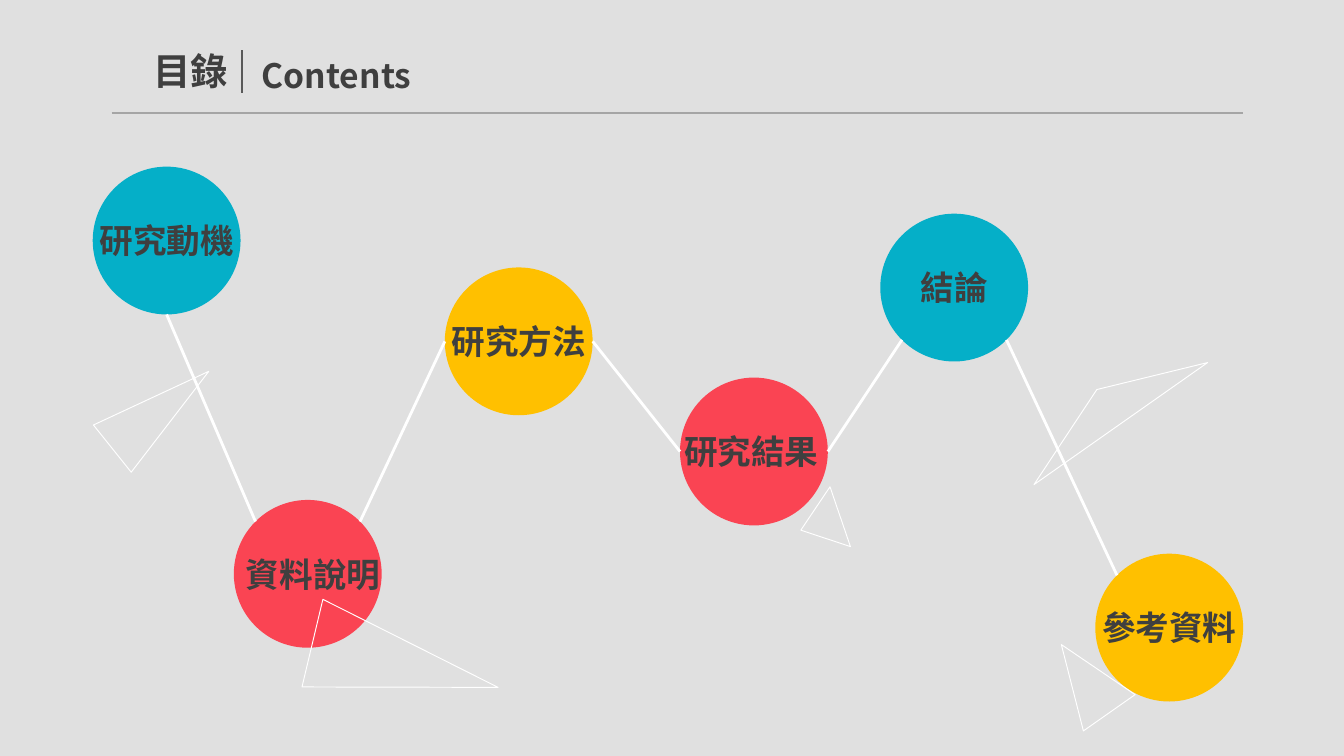
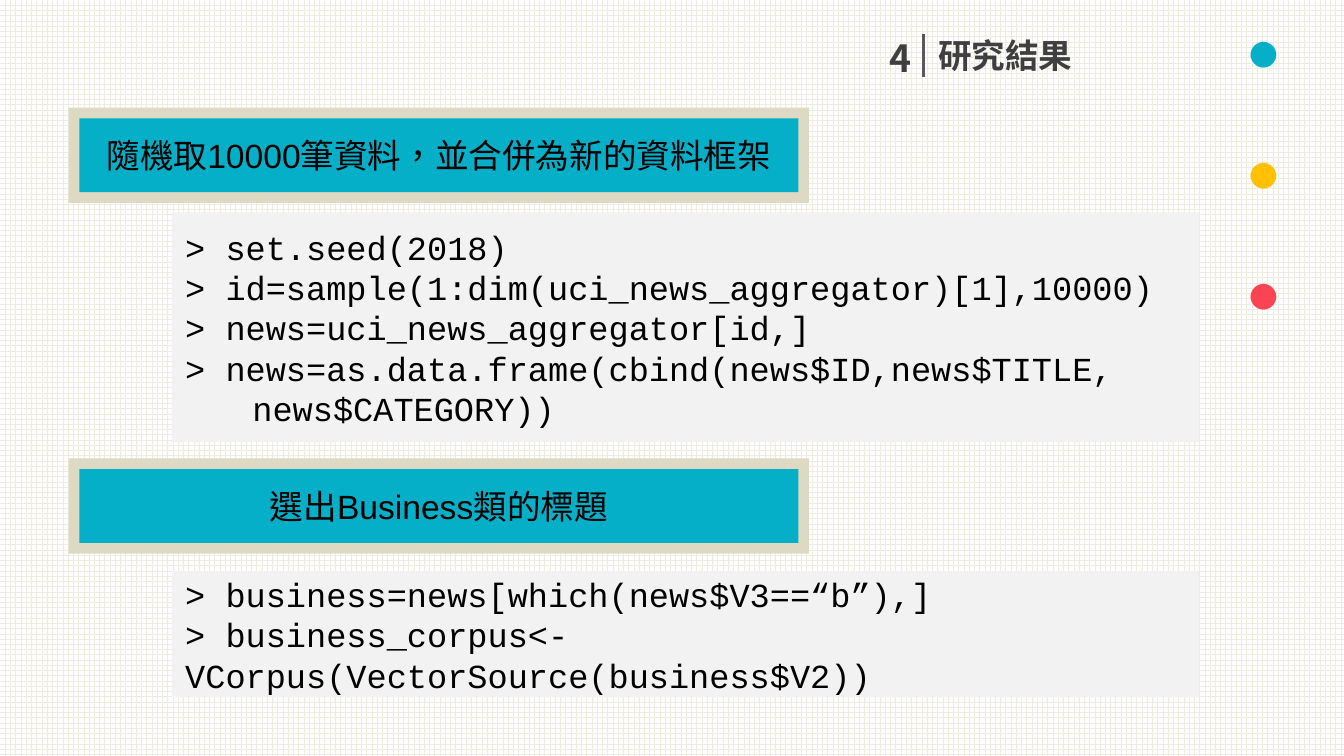
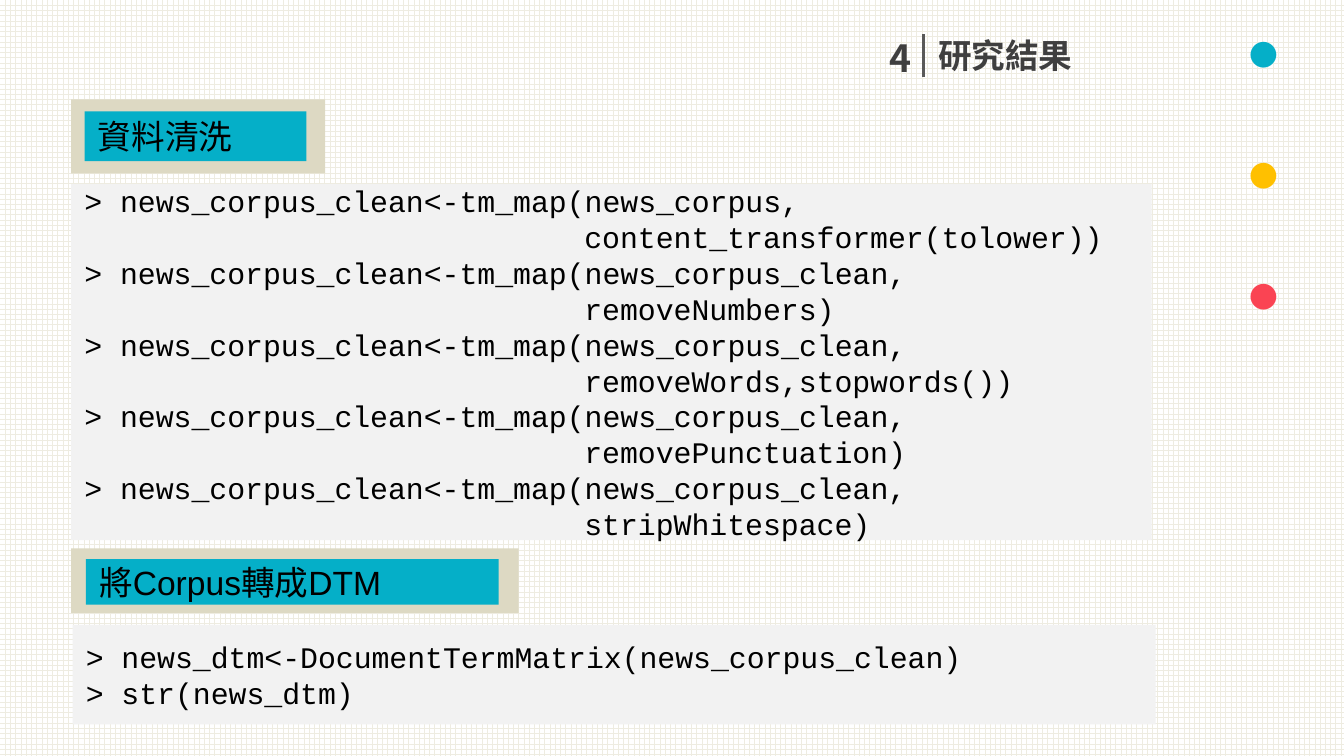
from dataclasses import dataclass
from math import sqrt

from lxml import etree
from pptx import Presentation
from pptx.dml.color import RGBColor
from pptx.enum.dml import MSO_PATTERN_TYPE
from pptx.enum.lang import MSO_LANGUAGE_ID
from pptx.enum.shapes import MSO_CONNECTOR, MSO_SHAPE
from pptx.enum.text import MSO_ANCHOR, MSO_AUTO_SIZE, PP_ALIGN
from pptx.oxml.ns import qn
from pptx.util import Inches, Pt

LEFT, CENTER, RIGHT = PP_ALIGN.LEFT, PP_ALIGN.CENTER, PP_ALIGN.RIGHT
TOP, MIDDLE = MSO_ANCHOR.TOP, MSO_ANCHOR.MIDDLE
GROW = MSO_AUTO_SIZE.SHAPE_TO_FIT_TEXT
STRAIGHT = MSO_CONNECTOR.STRAIGHT
RECTANGLE = MSO_SHAPE.RECTANGLE
CIRCLE = MSO_SHAPE.FLOWCHART_CONNECTOR
TRIANGLE = MSO_SHAPE.FLOWCHART_MERGE
GRID = MSO_PATTERN_TYPE.LARGE_GRID
CHINESE = MSO_LANGUAGE_ID.TRADITIONAL_CHINESE
TITLE_ONLY = 5


@dataclass(frozen=True)
class Theme:
    teal: str = "05AFC8"
    amber: str = "FFC000"
    red: str = "FA4453"
    ink: str = "3F3F3F"
    black: str = "000000"
    white: str = "FFFFFF"
    divider: str = "595959"
    rule: str = "A5A5A5"
    paper: str = "E0E0E0"
    grid: str = "EEECE1"
    frame: str = "DDD9C3"
    code_fill: str = "F2F2F2"
    heading_font: str = "Noto Sans CJK SC"
    body_font: str = "Arial"
    code_font: str = "Courier New"
    lead_size: int = 20
    body_size: int = 18
    small_code_size: int = 16
    dot_size: int = 54


THEME = Theme()


class Deck:
    """Holds the style and the slide being built."""

    def __init__(self, theme):
        self.theme = theme
        self.presentation = Presentation()
        self.presentation.slide_width = Inches(10)
        self.presentation.slide_height = Inches(10 * 9 / 16)
        self.slide = None

    def new_slide(self, gridded):
        layout = self.presentation.slide_layouts[TITLE_ONLY]
        self.slide = self.presentation.slides.add_slide(layout)
        fill = self.slide.background.fill
        if gridded:
            fill.patterned()
            fill.pattern = GRID
            fill.fore_color.rgb = RGBColor.from_string(self.theme.grid)
            fill.back_color.rgb = RGBColor.from_string(self.theme.white)
        else:
            fill.solid()
            fill.fore_color.rgb = RGBColor.from_string(self.theme.paper)

    def format_run(self, run, font, size, color, bold=False):
        run.font.name = font
        run.font.size = Pt(size)
        run.font.bold = bold
        run.font.color.rgb = RGBColor.from_string(color)
        if font == self.theme.heading_font:
            east_asian = etree.SubElement(run.font._element, qn("a:ea"))
            east_asian.set("typeface", font)
        elif font == self.theme.body_font:
            run.font.language_id = CHINESE

    def fill_heading(self, holder, text, size, align):
        frame = holder.text_frame
        frame.text = text
        frame.word_wrap = True
        frame.auto_size = GROW
        frame.vertical_anchor = TOP
        paragraph = frame.paragraphs[0]
        paragraph.alignment = align
        self.format_run(paragraph.runs[0], self.theme.heading_font, size, self.theme.ink, True)

    def title(self, box, text, size, align=LEFT):
        holder = self.slide.shapes.title
        holder.left, holder.top, holder.width, holder.height = map(Inches, box)
        self.fill_heading(holder, text, size, align)

    def label(self, box, text, size, align=LEFT):
        holder = self.slide.shapes.add_textbox(*map(Inches, box))
        self.fill_heading(holder, text, size, align)

    def line(self, start, end, color, width):
        connector = self.slide.shapes.add_connector(STRAIGHT, *map(Inches, (*start, *end)))
        connector.line.color.rgb = RGBColor.from_string(color)
        connector.line.width = Pt(width)
        etree.SubElement(connector._element.spPr, qn("a:effectLst"))

    def solid(self, kind, box, color):
        shape = self.slide.shapes.add_shape(kind, *map(Inches, box))
        shape.shadow.inherit = False
        shape.fill.solid()
        shape.fill.fore_color.rgb = RGBColor.from_string(color)
        shape.line.fill.background()
        return shape

    def triangle(self, box, rotation):
        shape = self.slide.shapes.add_shape(TRIANGLE, *map(Inches, box))
        shape.shadow.inherit = False
        shape.fill.background()
        shape.line.color.rgb = RGBColor.from_string(self.theme.white)
        shape.line.width = Pt(0.5)
        shape.rotation = rotation

    def plate(self, frame_box, face_box, text, align):
        self.solid(RECTANGLE, frame_box, self.theme.frame)
        face = self.solid(RECTANGLE, face_box, self.theme.teal)
        self.fill_body(face, text, self.theme.body_font, self.theme.body_size, align)

    def code(self, box, text, size, hang=0):
        panel = self.solid(RECTANGLE, box, self.theme.code_fill)
        self.fill_body(panel, text, self.theme.code_font, size, LEFT)
        for paragraph in panel.text_frame.paragraphs:
            if not paragraph.text.startswith(">"):
                paragraph._p.get_or_add_pPr().set("marL", str(Inches(hang)))

    def fill_body(self, shape, text, font, size, align):
        frame = shape.text_frame
        frame.text = text
        frame.word_wrap = True
        frame.vertical_anchor = MIDDLE
        for paragraph in frame.paragraphs:
            paragraph.alignment = align
            for run in paragraph.runs:
                self.format_run(run, font, size, self.theme.black)

    def section_header(self, number, text):
        self.line((6.87, 0.57), (6.87, 0.25), self.theme.divider, 1.5)
        self.label((6.02, 0.21, 0.86, 0.44), number, self.theme.lead_size, RIGHT)
        self.title((6.88, 0.21, 3.31, 0.4), text, self.theme.body_size)

    def side_dots(self):
        holder = self.slide.shapes.add_textbox(*map(Inches, (8.23, -0.1, 1.65, 1.01)))
        frame = holder.text_frame
        frame.word_wrap = True
        frame.auto_size = GROW
        paragraph = frame.paragraphs[0]
        paragraph.alignment = RIGHT
        colors = (self.theme.teal, self.theme.amber, self.theme.red)
        for dot, color in zip(("· ", "· ", "·"), colors):
            run = paragraph.add_run()
            run.text = dot
            self.format_run(run, self.theme.heading_font, self.theme.dot_size, color, True)


def build_contents(deck):
    theme = deck.theme
    diameter, label_width = 1.1, 1.81
    radius = diameter / 2
    diagonal = radius / sqrt(2)
    topics = [
        ("研究動機", 0.69, 1.24, theme.teal, 0),
        ("資料說明", 1.74, 3.72, theme.red, 0.04),
        ("研究方法", 3.31, 1.99, theme.amber, 0),
        ("研究結果", 5.06, 2.81, theme.red, -0.02),
        ("結論", 6.55, 1.59, theme.teal, 0),
        ("參考資料", 8.15, 4.12, theme.amber, 0),
    ]
    rim = {
        "bottom": (0, radius),
        "left": (-radius, 0),
        "right": (radius, 0),
        "upper left": (-diagonal, -diagonal),
        "upper right": (diagonal, -diagonal),
        "lower left": (-diagonal, diagonal),
        "lower right": (diagonal, diagonal),
    }
    links = [
        ("bottom", "upper left"),
        ("upper right", "left"),
        ("right", "left"),
        ("right", "lower left"),
        ("lower right", "upper left"),
    ]
    triangles = [
        ((2.68, 4.24, 0.67, 1.42), 283.4),
        ((7.46, 2.87, 1.58, 0.31), 144.9),
        ((5.87, 3.74, 0.47, 0.31), 71.1),
        ((7.84, 4.74, 0.47, 0.62), 144.9),
        ((0.97, 2.59, 0.45, 0.92), 231.3),
    ]

    def rim_point(topic, side):
        dx, dy = rim[side]
        return topic[1] + radius + dx, topic[2] + radius + dy

    deck.new_slide(gridded=False)
    deck.line((0.83, 0.84), (9.25, 0.84), theme.rule, 0.75)
    deck.line((1.8, 0.69), (1.8, 0.37), theme.divider, 1.5)
    deck.title((0.99, 0.31, 0.86, 0.44), "目錄", theme.lead_size, CENTER)
    deck.label((1.85, 0.36, 1.65, 0.4), "Contents", theme.body_size)
    for _, left, top, color, _ in topics:
        deck.solid(CIRCLE, (left, top, diameter, diameter), color)
    for start, end, (leaving, arriving) in zip(topics, topics[1:], links):
        deck.line(rim_point(start, leaving), rim_point(end, arriving), theme.white, 1.5)
    for name, left, top, _, shift in topics:
        label_left = left + (diameter - label_width) / 2 + shift
        deck.label((label_left, top + 0.35, label_width, 0.4), name, theme.body_size, CENTER)
    for box, rotation in triangles:
        deck.triangle(box, rotation)


def build_sampling(deck):
    steps = [
        (0.8, "隨機取10000筆資料，並合併為新的資料框架", 1.58, 1.71, [
            "> set.seed(2018)",
            "> id=sample(1:dim(uci_news_aggregator)[1],10000)",
            "> news=uci_news_aggregator[id,]",
            "> news=as.data.frame(cbind(news$ID,news$TITLE,",
            "\tnews$CATEGORY))",
        ]),
        (3.41, "選出Business類的標題", 4.25, 0.94, [
            "> business=news[which(news$V3==“b”),]",
            "> business_corpus<-VCorpus(VectorSource(business$V2))",
        ]),
    ]
    deck.new_slide(gridded=True)
    deck.section_header("4", "研究結果")
    deck.side_dots()
    for top, heading, code_top, code_height, lines in steps:
        deck.plate((0.51, top, 5.51, 0.71), (0.59, top + 0.08, 5.35, 0.55), heading, CENTER)
        deck.code((1.28, code_top, 7.64, code_height), "\v".join(lines), deck.theme.body_size)


def build_cleaning(deck):
    size = deck.theme.small_code_size
    cleaning_steps = [
        ("news_corpus", "content_transformer(tolower)"),
        ("news_corpus_clean", "removeNumbers"),
        ("news_corpus_clean", "removeWords,stopwords()"),
        ("news_corpus_clean", "removePunctuation"),
        ("news_corpus_clean", "stripWhitespace"),
    ]
    cleaning_code = "\n".join(
        f"> news_corpus_clean<-tm_map({corpus},\n{action})"
        for corpus, action in cleaning_steps
    )
    matrix_code = "> news_dtm<-DocumentTermMatrix(news_corpus_clean)\n> str(news_dtm)"

    deck.new_slide(gridded=True)
    deck.section_header("4", "研究結果")
    deck.side_dots()
    deck.code((0.53, 1.37, 8.04, 2.65), cleaning_code, size, hang=3.72)
    deck.plate((0.53, 0.74, 1.89, 0.55), (0.63, 0.83, 1.65, 0.37), "資料清洗", LEFT)
    deck.plate((0.53, 4.08, 3.33, 0.48), (0.64, 4.16, 3.07, 0.34), "將Corpus轉成DTM", LEFT)
    deck.code((0.54, 4.65, 8.06, 0.74), matrix_code, size)


deck = Deck(THEME)
build_contents(deck)
build_sampling(deck)
build_cleaning(deck)
deck.presentation.save("out.pptx")
